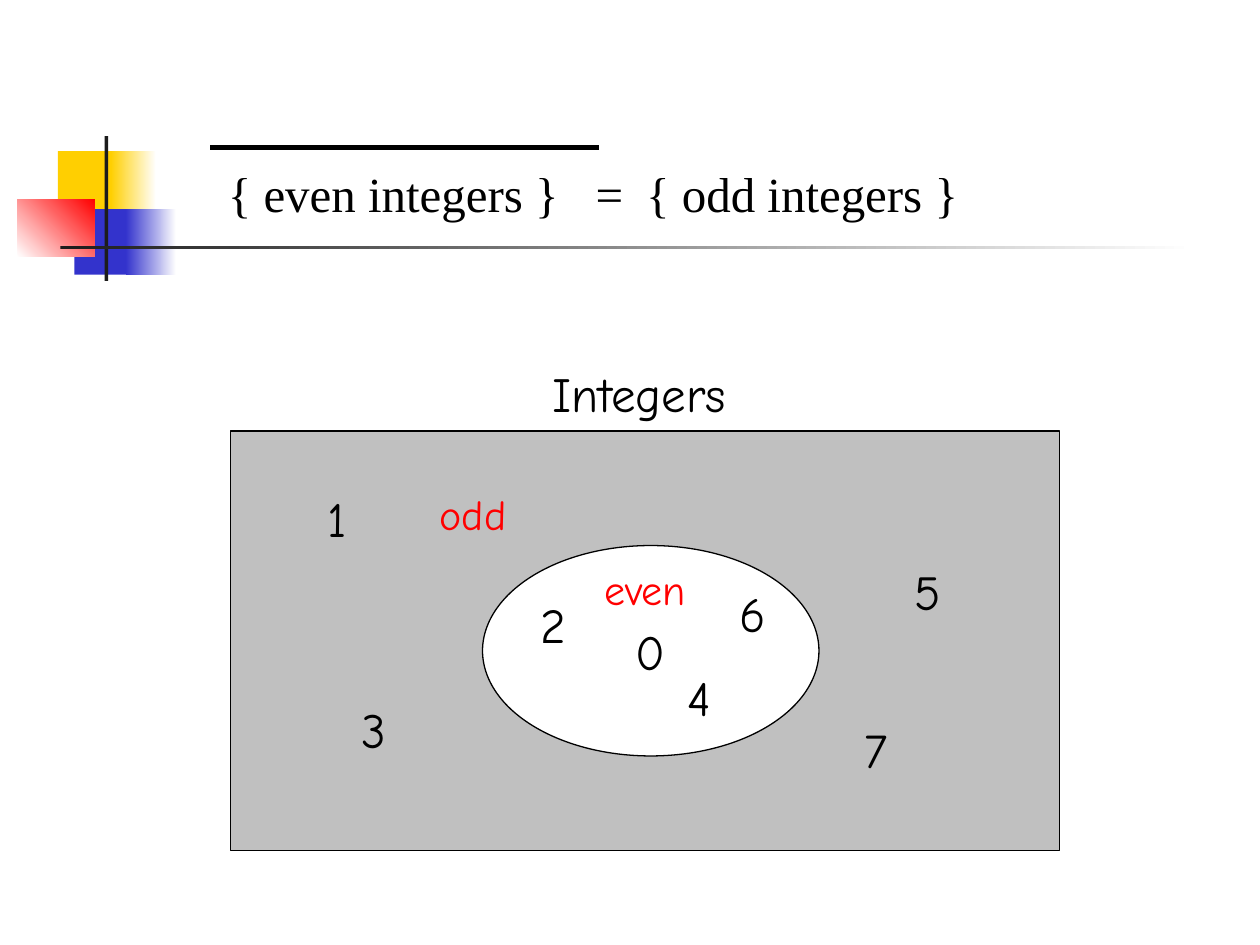
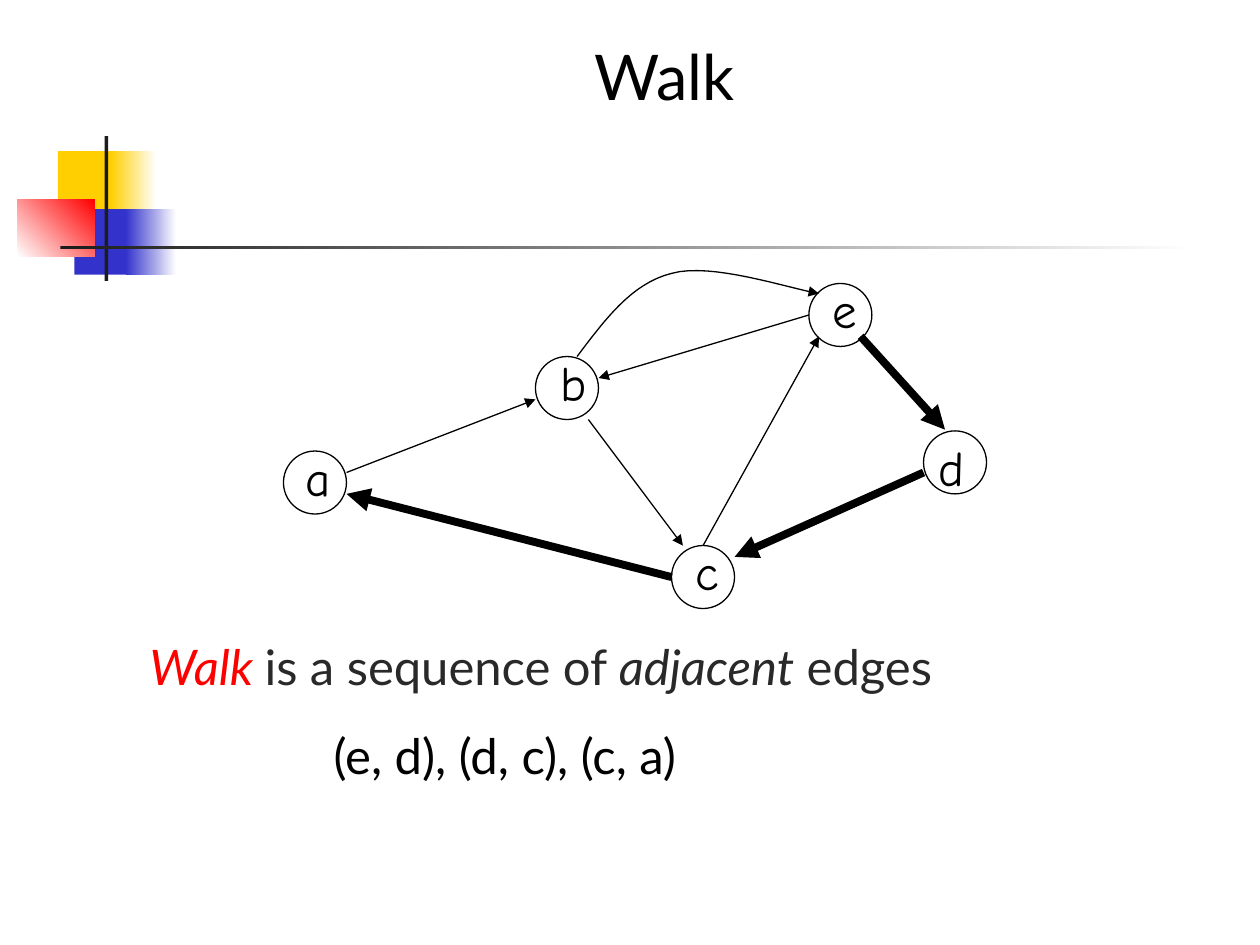
from lxml.etree import SubElement
from pptx import Presentation
from pptx.dml.color import RGBColor
from pptx.enum.shapes import MSO_CONNECTOR as Connector, MSO_SHAPE as Shape
from pptx.enum.text import MSO_ANCHOR as Anchor, MSO_AUTO_SIZE as AutoSize, PP_ALIGN as Align
from pptx.oxml.ns import qn
from pptx.util import Inches, Pt

COLORS = {
    "black": "000000", "white": "FFFFFF", "ink": "1C1C1C", "body": "292929",
    "red": "FF0000", "gold": "FFCF01", "blue": "3333CC", "gray": "C0C0C0",
}
HAND, SANS, SERIF = "Comic Neue", "Lato", "Times New Roman"
LINE_HEIGHTS = {24: 0.5, 28: 0.57, 36: 0.7}
THIN, BAR, BOLD = 0.75, 3, 4.5

MOTIF = [
    ((0.46, 1.2, 0.48, 0.52), ("gold",), 0),
    ((0.88, 1.2, 0.36, 0.52), ("gold", "white"), 0),
    ((0.59, 1.66, 0.46, 0.52), ("blue",), 0),
    ((1, 1.66, 0.4, 0.52), ("blue", "white"), 0),
    ((0.14, 1.58, 0.61, 0.46), ("white", "red"), 45),
    ((0.83, 1.08, 0.03, 1.15), ("ink",), 0),
    ((0.48, 1.95, 9, 0.03), ("ink", "white"), 0),
]

EQUATION = "{ even integers }\t=\t{ odd integers }"
EQUATION_TABS = (2.92, 3.32)
COMPLEMENT_BAR = ((1.67, 1.17), (4.75, 1.17))
UNIVERSE = (1.83, 3.42, 6.58, 3.33)
EVEN_SET = (3.83, 4.33, 2.67, 1.67)
NUMBERS = [
    ("2", 4.19, 4.67, 0.4), ("4", 5.36, 5.25, 0.39), ("6", 5.77, 4.58, 0.41),
    ("1", 2.5, 3.83, 0.35), ("3", 2.77, 5.5, 0.39), ("5", 7.16, 4.41, 0.41),
    ("7", 6.76, 5.66, 0.38),
]
SET_NAMES = [
    ("even", 4.69, 4.42, 0.86, 24, "red"),
    ("odd", 3.39, 3.83, 0.73, 24, "red"),
    ("Integers", 4.28, 2.83, 1.59, 28, "black"),
]

NODE_SIZE = 0.5
NODES = {
    "a": ((2.25, 3.58), (2.33, 3.5, 0.4)),
    "b": ((4.25, 2.83), (4.35, 2.75, 0.41)),
    "c": ((5.33, 4.33), (5.42, 4.25, 0.38)),
    "d": ((7.33, 3.42), (7.35, 3.42, 0.4)),
    "e": ((6.42, 2.25), (6.51, 2.17, 0.39)),
}
EDGES = [
    ((2.75, 3.75), (4.25, 3.17), THIN),
    ((4.67, 3.33), (5.42, 4.33), THIN),
    ((5.58, 4.33), (6.5, 2.67), THIN),
    ((6.42, 2.5), (4.75, 3), THIN),
    ((7.33, 3.75), (5.83, 4.42), BOLD),
    ((5.33, 4.58), (2.75, 3.92), BOLD),
    ((6.83, 2.67), (7.5, 3.41), BOLD),
]
CURVED_EDGE = [
    ((4.58, 2.83), (4.8, 2.54), (5.01, 2.25), (5.33, 2.17)),
    ((5.33, 2.17), (5.65, 2.08), (6.26, 2.29), (6.5, 2.33)),
]
CURVE_STEPS = 16
DEFINITION = [
    ("Walk ", "red", True), ("is a sequence of ", "body", False),
    ("adjacent", "body", True), (" edges", "body", False),
]
WALK_EXAMPLE = "(e, d), (d, c), (c, a)"
EXAMPLE_INDENT = 1.46


def rgb(name):
    return RGBColor.from_string(COLORS[name])


def apply(target, values):
    for name, value in values.items():
        setattr(target, name, value)


def add_run(paragraph, text, size=28, font=HAND, color="black", italic=False):
    run = paragraph.add_run()
    run.text = text
    apply(run.font, {"name": font, "size": Pt(size), "italic": italic})
    run.font.color.rgb = rgb(color)


def set_line(shape, width, arrow=False):
    if not width:
        shape.line.fill.background()
        return
    shape.line.color.rgb = rgb("black")
    shape.line.width = Pt(width)
    if arrow:
        SubElement(shape.line._get_or_add_ln(), qn("a:tailEnd"), type="triangle")


def add_figure(slide, kind, box, colors=(), angle=0, width=THIN):
    shape = slide.shapes.add_shape(kind, *map(Inches, box))
    shape.shadow.inherit = False
    if len(colors) == 2:
        shape.fill.gradient()
        shape.fill.gradient_angle = angle
        for stop, color in zip(shape.fill.gradient_stops, colors):
            stop.color.rgb = rgb(color)
    elif colors:
        shape.fill.solid()
        shape.fill.fore_color.rgb = rgb(colors[0])
    else:
        shape.fill.background()
    set_line(shape, width)
    return shape


def add_line(slide, start, end, width, arrow=True):
    line = slide.shapes.add_connector(Connector.STRAIGHT, *map(Inches, start + end))
    set_line(line, width, arrow)
    SubElement(line._element.spPr, qn("a:effectLst"))


def add_text_box(slide, box, wrap=False, anchor=Anchor.TOP):
    frame = slide.shapes.add_textbox(*map(Inches, box)).text_frame
    apply(frame, {"word_wrap": wrap, "vertical_anchor": anchor,
                  "auto_size": AutoSize.SHAPE_TO_FIT_TEXT})
    return frame


def add_label(slide, text, left, top, width, size=28, color="black", font=HAND, centered=False):
    anchor = Anchor.MIDDLE if centered else Anchor.TOP
    frame = add_text_box(slide, (left, top, width, LINE_HEIGHTS[size]), anchor=anchor)
    paragraph = frame.paragraphs[0]
    paragraph.alignment = Align.CENTER if centered else Align.LEFT
    add_run(paragraph, text, size, font, color)


def add_curve(slide, segments):
    points = [segments[0][0]]
    for segment in segments:
        for step in range(1, CURVE_STEPS + 1):
            t = step / CURVE_STEPS
            weights = ((1 - t) ** 3, 3 * t * (1 - t) ** 2, 3 * t ** 2 * (1 - t), t ** 3)
            points.append(tuple(sum(w * point[axis] for w, point in zip(weights, segment))
                                for axis in (0, 1)))
    start, *rest = [tuple(map(Inches, point)) for point in points]
    builder = slide.shapes.build_freeform(*start)
    builder.add_line_segments(rest, close=False)
    curve = builder.convert_to_shape()
    curve.shadow.inherit = False
    curve.fill.background()
    set_line(curve, THIN, arrow=True)


def add_slide(presentation):
    slide = presentation.slides.add_slide(presentation.slide_layouts[6])
    for box, colors, angle in MOTIF:
        add_figure(slide, Shape.RECTANGLE, box, colors, angle, width=0)
    return slide


def build_complement(presentation):
    slide = add_slide(presentation)
    add_figure(slide, Shape.RECTANGLE, UNIVERSE, ("gray",))
    even_set = add_figure(slide, Shape.OVAL, EVEN_SET, ("white",))
    apply(even_set.text_frame, {"word_wrap": False, "vertical_anchor": Anchor.MIDDLE})
    zero = even_set.text_frame.paragraphs[0]
    zero.alignment = Align.CENTER
    add_run(zero, "0")
    for number in NUMBERS:
        add_label(slide, *number)
    for name in SET_NAMES:
        add_label(slide, *name, centered=True)

    frame = add_text_box(slide, (1.71, 1.25, 7.2, 0.57), wrap=True, anchor=Anchor.MIDDLE)
    equation = frame.paragraphs[0]
    tabs = SubElement(equation._p.get_or_add_pPr(), qn("a:tabLst"))
    for position in EQUATION_TABS:
        SubElement(tabs, qn("a:tab"), pos=str(Inches(position)), algn="l")
    add_run(equation, EQUATION, font=SERIF)
    add_line(slide, *COMPLEMENT_BAR, BAR, arrow=False)


def build_walk(presentation):
    slide = add_slide(presentation)
    add_label(slide, "Walk", 4.62, 0.25, 1.34, 36, font=SANS)
    for name, (corner, label) in NODES.items():
        add_figure(slide, Shape.OVAL, corner + (NODE_SIZE, NODE_SIZE))
        add_label(slide, name, *label)
    for edge in EDGES:
        add_line(slide, *edge)
    add_curve(slide, CURVED_EDGE)

    frame = add_text_box(slide, (1.09, 5, 6.86, 1.28), wrap=True)
    for text, color, italic in DEFINITION:
        add_run(frame.paragraphs[0], text, font=SANS, color=color, italic=italic)
    example = frame.add_paragraph()
    example.space_before = Pt(17.5)
    example._p.get_or_add_pPr().set("marL", str(Inches(EXAMPLE_INDENT)))
    add_run(example, WALK_EXAMPLE, font=SANS)


def main():
    presentation = Presentation()
    apply(presentation, {"slide_width": Inches(10), "slide_height": Inches(7.5)})
    build_complement(presentation)
    build_walk(presentation)
    presentation.save("out.pptx")


if __name__ == "__main__":
    main()
